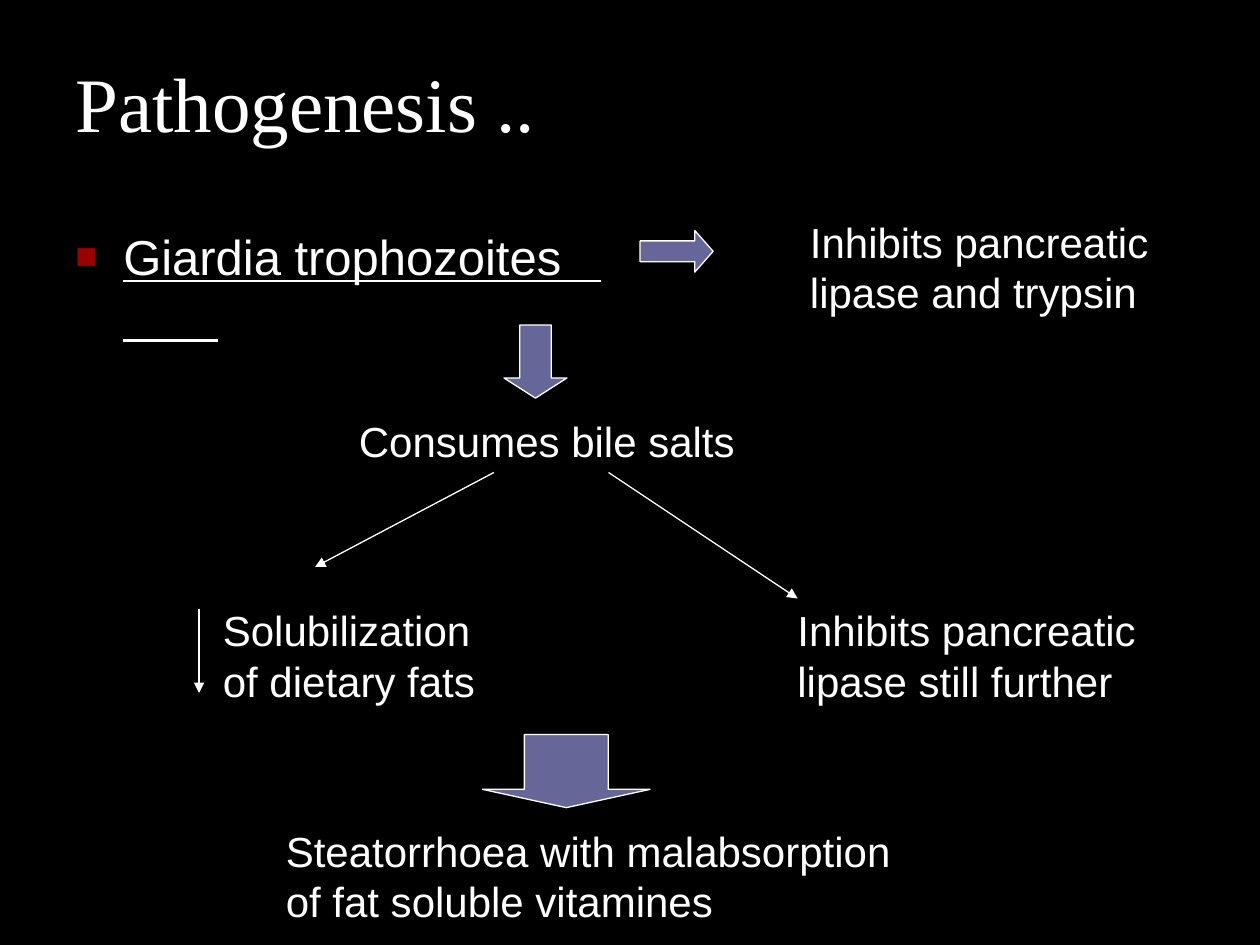
from dataclasses import dataclass
from typing import Optional

from pptx import Presentation
from pptx.dml.color import RGBColor
from pptx.enum.shapes import MSO_CONNECTOR as Connector, MSO_SHAPE as Preset
from pptx.enum.text import MSO_ANCHOR as Anchor
from pptx.oxml.ns import qn
from pptx.util import Inches, Pt
from lxml.etree import SubElement


@dataclass(frozen=True)
class Theme:
    background: RGBColor = RGBColor(0x00, 0x00, 0x00)
    ink: RGBColor = RGBColor(0xFF, 0xFF, 0xFF)
    arrow: RGBColor = RGBColor(0x66, 0x66, 0x99)
    bullet: str = "990000"
    title_font: str = "Times New Roman"
    body_font: str = "Arial"
    title_size: int = 44
    heading_size: int = 28
    label_size: int = 24
    outline: float = 0.75
    underline: float = 1.5


@dataclass(frozen=True)
class Box:
    left: float
    top: float
    width: float
    height: float

    def lengths(self) -> list:
        return [Inches(v) for v in (self.left, self.top, self.width, self.height)]


@dataclass(frozen=True)
class Label:
    text: str
    box: Box
    size: int
    font: str
    underline: Optional[bool] = None
    anchor: Anchor = Anchor.TOP
    line_spacing: Optional[float] = None
    bullet: bool = False


@dataclass(frozen=True)
class BlockArrow:
    preset: Preset
    box: Box
    head: float


@dataclass(frozen=True)
class Line:
    start: tuple[float, float]
    end: tuple[float, float]
    width: float
    arrowhead: bool = True


THEME = Theme()


def step(text: str, box: Box) -> Label:
    """A stage of the disease process."""
    return Label(text, box, THEME.label_size, THEME.body_font)


LABELS = [
    Label("Pathogenesis ..", Box(0.5, -0.33, 9, 1.55), THEME.title_size,
          THEME.title_font, anchor=Anchor.BOTTOM, line_spacing=0.8),
    Label("Giardia trophozoites", Box(0.5, 1.75, 4.42, 4.95), THEME.heading_size,
          THEME.body_font, underline=True, bullet=True),
    step("Inhibits pancreatic lipase and trypsin", Box(6.33, 1.67, 3.42, 0.9)),
    step("Consumes bile salts", Box(2.75, 3.25, 3.83, 0.5)),
    step("Solubilization of dietary fats", Box(1.67, 4.75, 2.42, 0.9)),
    step("Inhibits pancreatic lipase still further", Box(6.23, 4.75, 3.02, 0.9)),
    step("Steatorrhoea with malabsorption of fat soluble vitamines",
         Box(2.17, 6.5, 5.25, 0.9)),
]

BLOCK_ARROWS = [
    BlockArrow(Preset.RIGHT_ARROW, Box(5.08, 1.83, 0.58, 0.33), 0.44),
    BlockArrow(Preset.DOWN_ARROW, Box(4, 2.58, 0.5, 0.58), 0.32),
    BlockArrow(Preset.DOWN_ARROW, Box(3.83, 5.83, 1.33, 0.58), 0.25),
]

LINES = [
    Line((3.92, 3.75), (2.5, 4.5), THEME.outline),
    Line((4.83, 3.75), (6.33, 4.75), THEME.outline),
    Line((1.58, 4.83), (1.58, 5.5), THEME.outline),
    # The heading's rule runs on past its last word and onto the next row.
    Line((4.44, 2.23), (4.77, 2.23), THEME.underline, arrowhead=False),
    Line((0.98, 2.7), (1.73, 2.7), THEME.underline, arrowhead=False),
]


def add_bullet(paragraph) -> None:
    properties = paragraph._p.get_or_add_pPr()
    indent = Inches(0.38)
    properties.set("marL", str(indent))
    properties.set("indent", str(-indent))
    color = SubElement(properties, qn("a:buClr"))
    SubElement(color, qn("a:srgbClr"), val=THEME.bullet)
    SubElement(properties, qn("a:buSzPct"), val="75000")
    SubElement(properties, qn("a:buFont"), typeface=THEME.body_font)
    SubElement(properties, qn("a:buChar"), char="■")


def add_label(slide, label: Label) -> None:
    frame = slide.shapes.add_textbox(*label.box.lengths()).text_frame
    frame.word_wrap = True
    frame.vertical_anchor = label.anchor
    paragraph = frame.paragraphs[0]
    if label.line_spacing:
        paragraph.line_spacing = label.line_spacing
    if label.bullet:
        add_bullet(paragraph)
    run = paragraph.add_run()
    run.text = label.text
    font_format = {"name": label.font, "size": Pt(label.size),
                   "underline": label.underline}
    for name, value in font_format.items():
        setattr(run.font, name, value)
    run.font.color.rgb = THEME.ink


def add_block_arrow(slide, arrow: BlockArrow) -> None:
    shape = slide.shapes.add_shape(arrow.preset, *arrow.box.lengths())
    shape.shadow.inherit = False
    shape.adjustments[0] = 0.5
    shape.adjustments[1] = arrow.head
    shape.fill.solid()
    shape.fill.fore_color.rgb = THEME.arrow
    shape.line.color.rgb = THEME.ink
    shape.line.width = Pt(THEME.outline)


def add_line(slide, line: Line) -> None:
    ends = [Inches(v) for v in (*line.start, *line.end)]
    connector = slide.shapes.add_connector(Connector.STRAIGHT, *ends)
    connector.line.color.rgb = THEME.ink
    connector.line.width = Pt(line.width)
    if line.arrowhead:
        SubElement(connector.line._get_or_add_ln(), qn("a:tailEnd"), type="triangle")
    SubElement(connector._element.spPr, qn("a:effectLst"))


def main() -> None:
    presentation = Presentation()
    presentation.slide_width = Inches(10)
    presentation.slide_height = Inches(7.5)
    slide = presentation.slides.add_slide(presentation.slide_layouts[6])
    slide.background.fill.solid()
    slide.background.fill.fore_color.rgb = THEME.background
    for label in LABELS:
        add_label(slide, label)
    for arrow in BLOCK_ARROWS:
        add_block_arrow(slide, arrow)
    for line in LINES:
        add_line(slide, line)
    presentation.save("out.pptx")


if __name__ == "__main__":
    main()
